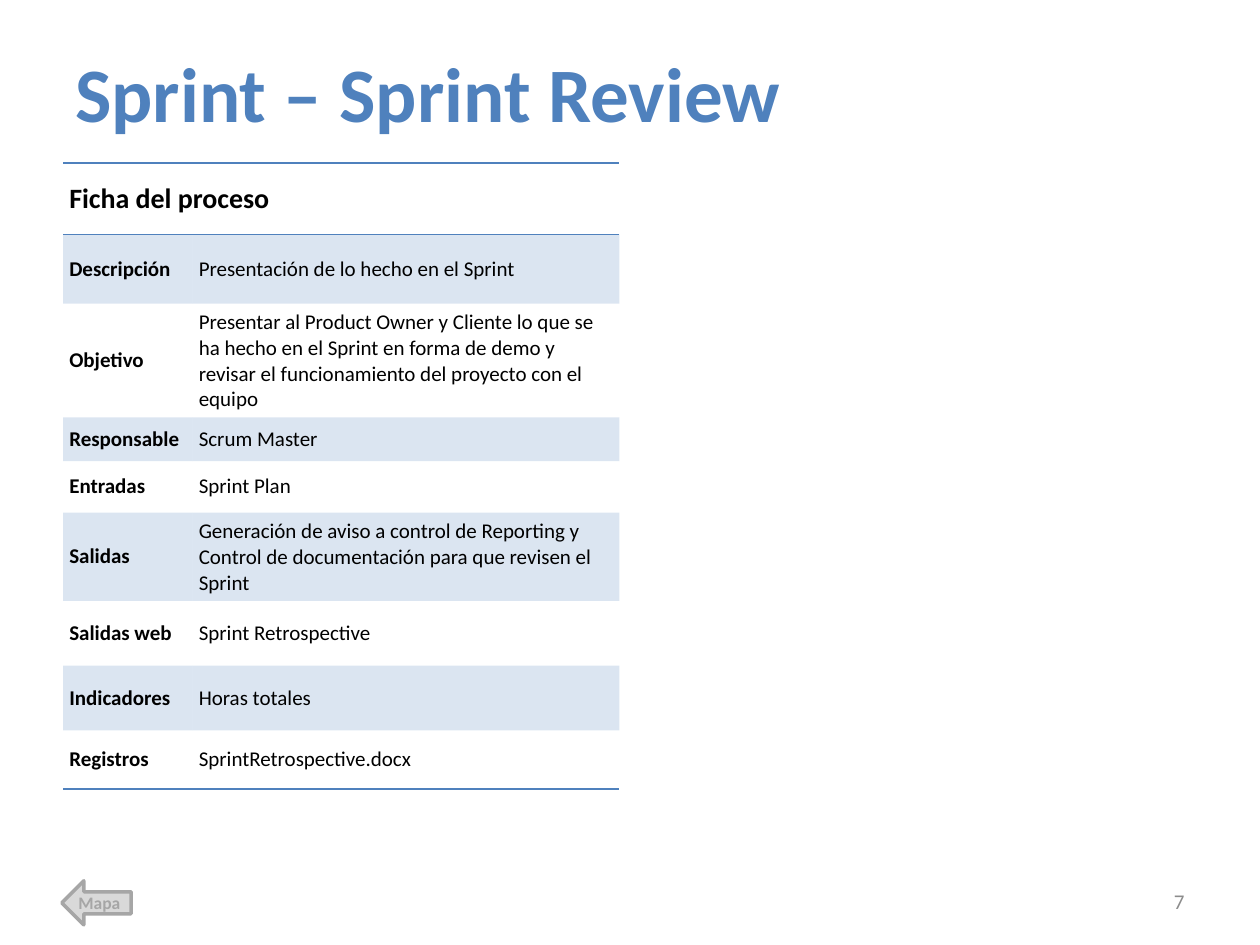
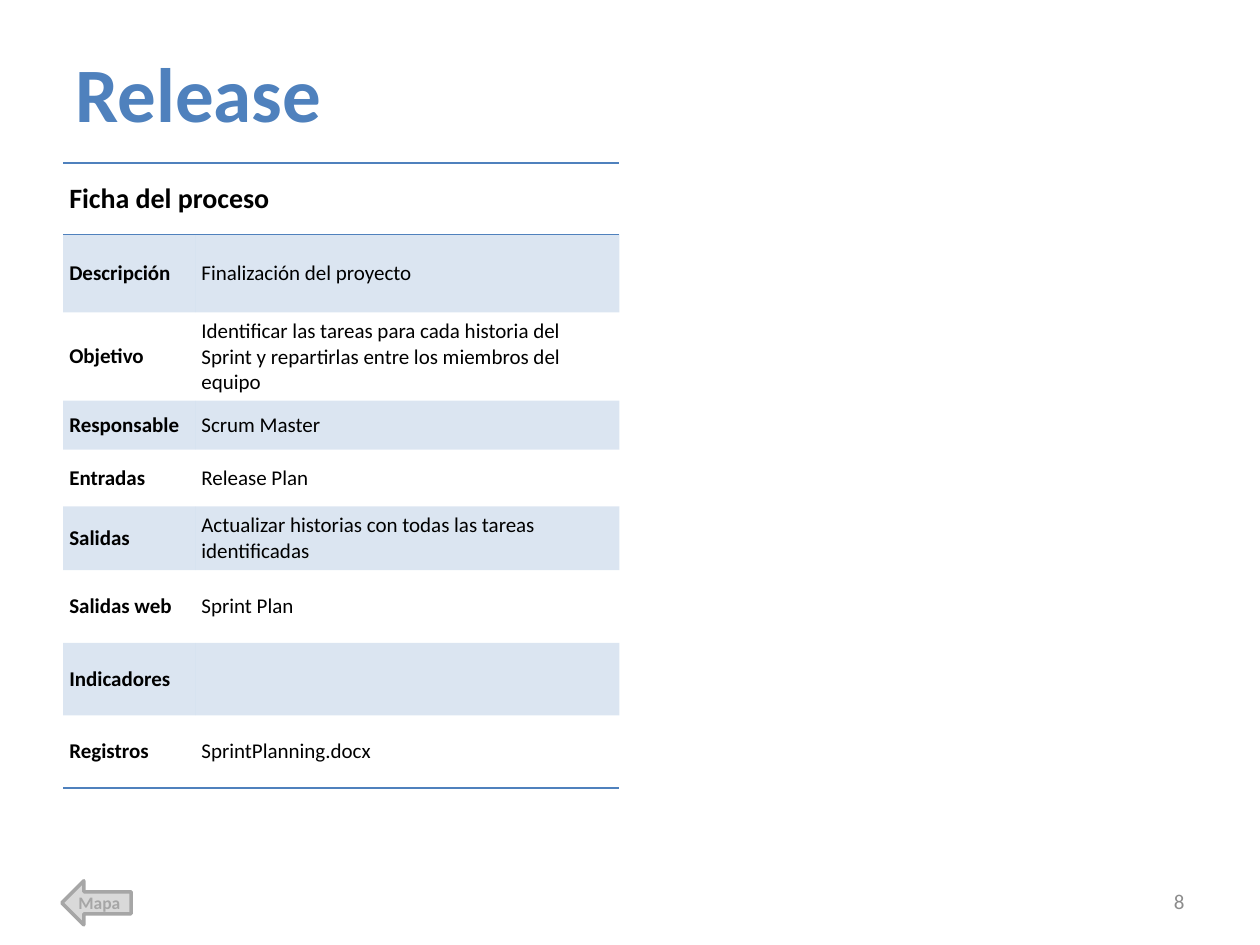
from pptx import Presentation
from pptx.dml.color import RGBColor
from pptx.enum.shapes import MSO_SHAPE as Preset
from pptx.enum.text import MSO_ANCHOR as Anchor, PP_ALIGN as Align
from pptx.oxml.ns import qn
from pptx.util import Pt
from lxml.etree import SubElement

FONT = "Calibri"
BLUE, BLACK, GREY, SILVER, PALE = "4F81BD", "000000", "8C8C8C", "A6A6A6", "D9D9D9"
NO_STYLE_NO_GRID = "{2D5ABB26-0587-4C30-8999-92F81FD0307C}"
LEFT = 36
TABLE_TOP, TABLE_WIDTH = 93, 318
FIELDS = ["Descripción", "Objetivo", "Responsable", "Entradas", "Salidas",
          "Salidas web", "Indicadores", "Registros"]

PROCESSES = [
    {
        "title": "Sprint – Sprint Review",
        "number": 7,
        "label_width": 74,
        "heights": [41, 39.5, 65, 25, 29.5, 50.5, 37, 37, 33.5],
        "values": [
            "Presentación de lo hecho en el Sprint",
            "Presentar al Product Owner y Cliente lo que se ha hecho en el Sprint "
            "en forma de demo y revisar el funcionamiento del proyecto con el equipo",
            "Scrum Master",
            "Sprint Plan",
            "Generación de aviso a control de Reporting y Control de documentación "
            "para que revisen el Sprint",
            "Sprint Retrospective",
            "Horas totales",
            "SprintRetrospective.docx",
        ],
    },
    {
        "title": "Release",
        "number": 8,
        "label_width": 75.5,
        "heights": [41, 44.5, 50, 28, 32.5, 36.5, 41.5, 41.5, 41.5],
        "values": [
            "Finalización del proyecto",
            "Identificar las tareas para cada historia del Sprint y repartirlas "
            "entre los miembros del equipo",
            "Scrum Master",
            "Release Plan",
            "Actualizar historias con todas las tareas identificadas",
            "Sprint Plan",
            "",
            "SprintPlanning.docx",
        ],
    },
]


def color(hex_string):
    """Turn a hex string into a colour."""
    return RGBColor.from_string(hex_string)


def write(frame, text, size, ink, bold=False, align=Align.LEFT):
    """Add one styled run to the first paragraph of a text frame."""
    paragraph = frame.paragraphs[0]
    paragraph.alignment = align
    run = paragraph.add_run()
    run.text = text
    run.font.name = FONT
    run.font.size = Pt(size)
    run.font.bold = bold
    run.font.color.rgb = color(ink)


def add_label(slide, box, text, size, ink, bold=False, align=Align.LEFT):
    """Add a vertically centred text box."""
    frame = slide.shapes.add_textbox(*map(Pt, box)).text_frame
    frame.word_wrap = True
    frame.vertical_anchor = Anchor.MIDDLE
    write(frame, text, size, ink, bold, align)


def add_map_arrow(slide):
    """Add the arrow that points back to the map."""
    arrow = slide.shapes.add_shape(
        Preset.LEFT_ARROW, Pt(35.3), Pt(503.3), Pt(39.6), Pt(25.2))
    arrow.shadow.inherit = False
    arrow.fill.solid()
    arrow.fill.fore_color.rgb = color(PALE)
    arrow.line.color.rgb = color(SILVER)
    arrow.line.width = Pt(2)
    frame = arrow.text_frame
    frame.word_wrap = False
    frame.vertical_anchor = Anchor.MIDDLE
    frame.margin_left = frame.margin_top = Pt(2.9)
    frame.margin_right, frame.margin_bottom = Pt(5.8), Pt(3.6)
    write(frame, "Mapa", 10, SILVER, True, Align.CENTER)


def set_borders(cell, ruled_sides):
    """Rule the named sides of a cell in blue and clear the others."""
    properties = cell._tc.get_or_add_tcPr()
    for side in "LRTB":
        line = SubElement(properties, qn(f"a:ln{side}"), w=str(Pt(1)))
        if side in ruled_sides:
            fill = SubElement(line, qn("a:solidFill"))
            SubElement(fill, qn("a:srgbClr"), val=BLUE)
        else:
            SubElement(line, qn("a:noFill"))


def fill_band(cell, banded):
    """Give a cell the translucent blue band, or no fill."""
    if not banded:
        cell.fill.background()
        return
    cell.fill.solid()
    cell.fill.fore_color.rgb = color(BLUE)
    tint = cell._tc.tcPr.find(f"{qn('a:solidFill')}/{qn('a:srgbClr')}")
    SubElement(tint, qn("a:alpha"), val="20000")


def format_cell(cell, text, size, bold, ruled_sides="", banded=False):
    """Set the margins, borders, fill and text of a cell."""
    cell.margin_left = cell.margin_right = Pt(3.6)
    cell.margin_top = cell.margin_bottom = Pt(3.6)
    cell.vertical_anchor = Anchor.MIDDLE
    set_borders(cell, ruled_sides)
    fill_band(cell, banded)
    if text:
        write(cell.text_frame, text, size, BLACK, bold)


def add_process_table(slide, process):
    """Add the process sheet: a merged heading over labelled rows."""
    heights = process["heights"]
    frame = slide.shapes.add_table(
        len(heights), 2, Pt(LEFT), Pt(TABLE_TOP), Pt(TABLE_WIDTH), Pt(sum(heights)))
    sheet = frame.table
    sheet.first_row = sheet.horz_banding = False
    sheet._tbl.tblPr.find(qn("a:tableStyleId")).text = NO_STYLE_NO_GRID
    sheet.columns[0].width = Pt(process["label_width"])
    sheet.columns[1].width = Pt(TABLE_WIDTH - process["label_width"])
    for row, height in zip(sheet.rows, heights):
        row.height = Pt(height)

    sheet.cell(0, 0).merge(sheet.cell(0, 1))
    format_cell(sheet.cell(0, 0), "Ficha del proceso", 16, True, "TB")
    format_cell(sheet.cell(0, 1), "", 16, True, "TB")
    for index, entry in enumerate(zip(FIELDS, process["values"]), start=1):
        ruled_sides = {1: "T", len(FIELDS): "B"}.get(index, "")
        for column, text in enumerate(entry):
            format_cell(sheet.cell(index, column), text, 12, column == 0,
                        ruled_sides, index % 2 == 1)


def add_process_slide(deck, process):
    """Add one slide with its title, process sheet and footer."""
    slide = deck.slides.add_slide(deck.slide_layouts[6])
    add_map_arrow(slide)
    add_label(slide, (LEFT, 21.6, 648, 62), process["title"], 44, BLUE, True)
    add_process_table(slide, process)
    add_label(slide, (516, 500.5, 168, 28.8), str(process["number"]), 12, GREY,
              align=Align.RIGHT)


def main():
    """Build and save the deck."""
    deck = Presentation()
    deck.slide_width, deck.slide_height = Pt(720), Pt(540)
    for process in PROCESSES:
        add_process_slide(deck, process)
    deck.save("out.pptx")


main()
